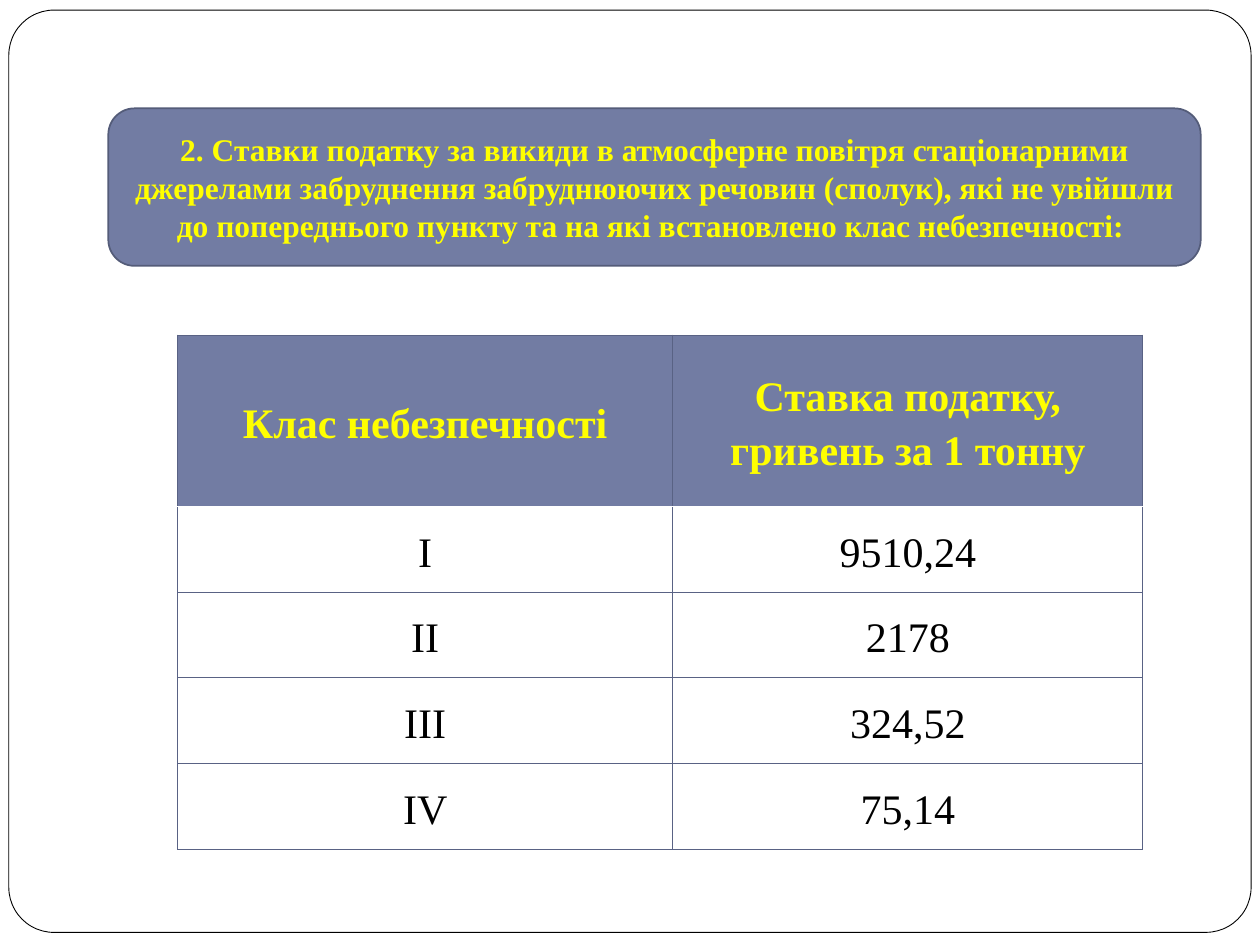
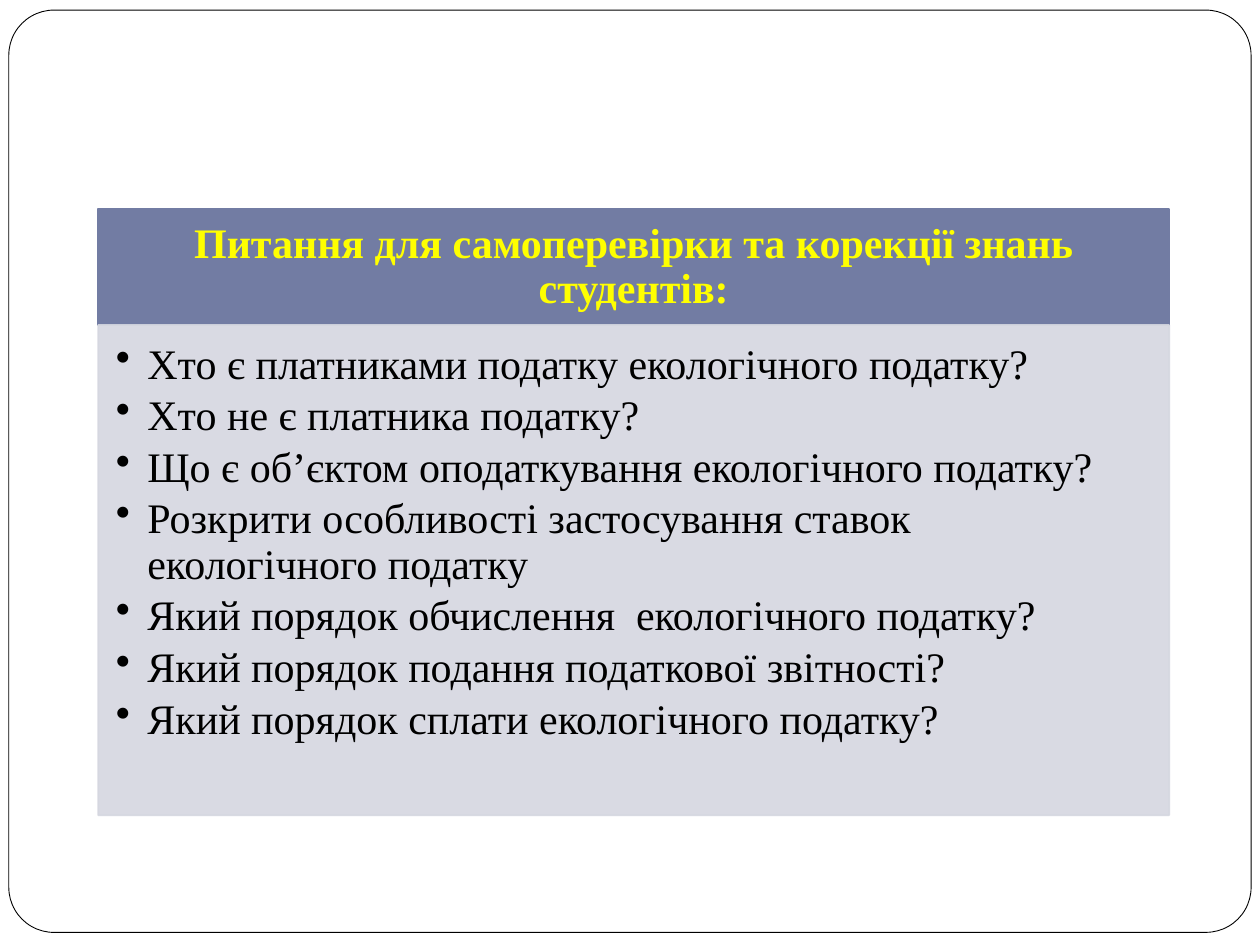
"""Two slides on ecological tax: rates by hazard class and review questions."""
from lxml.etree import SubElement
from pptx import Presentation
from pptx.dml.color import RGBColor
from pptx.enum.shapes import MSO_SHAPE as SHAPE
from pptx.enum.text import MSO_ANCHOR as ANCHOR, MSO_AUTO_SIZE as AUTO, PP_ALIGN as ALIGN
from pptx.oxml.ns import qn
from pptx.util import Inches, Pt

FONT = "Times New Roman"
HUES = dict(paper="FFFFFF", ink="000000", band="727CA3", edge="545C79",
            grid="596284", head="FFFF00", panel="D5D7E0")

RATES = {
    "title": "2. Ставки податку за викиди в атмосферне повітря стаціонарними "
             "джерелами забруднення забруднюючих речовин (сполук), які не увійшли "
             "до попереднього пункту та на які встановлено клас небезпечності: ",
    "cols": (3.93, 3.73),
    "rows": [
        ("Клас небезпечності", "Ставка податку,\nгривень за 1 тонну"),
        ("I", "9510,24"),
        ("II", "2178"),
        ("III", "324,52"),
        ("IV", "75,14"),
    ],
}
REVIEW = {
    "title": "Питання для самоперевірки та корекції знань студентів:",
    "asks": [
        "Хто є платниками податку екологічного податку?",
        "Хто не є платника податку?",
        "Що є об’єктом оподаткування екологічного податку?",
        "Розкрити особливості застосування ставок екологічного податку",
        "Який порядок обчислення  екологічного податку?",
        "Який порядок подання податкової звітності?",
        "Який порядок сплати екологічного податку?",
    ],
}


def hue(name):
    return RGBColor.from_string(HUES[name])


def add_box(slide, kind, at, fill, line, width=1):
    box = slide.shapes.add_shape(kind, *map(Inches, at))
    box.shadow.inherit = False
    box.fill.solid()
    box.fill.fore_color.rgb = hue(fill)
    box.line.color.rgb = hue(line)
    box.line.width = Pt(width)
    return box


def set_pads(frame, *pads):
    (frame.margin_left, frame.margin_top,
     frame.margin_right, frame.margin_bottom) = map(Inches, pads)


def style(frame, size, color, bold=False, align=ALIGN.CENTER, space=1.0):
    for para in frame.paragraphs:
        para.alignment = align
        para.line_spacing = space
        font = para.font
        font.name, font.size, font.bold = FONT, Pt(size), bold
        font.color.rgb = hue(color)


def add_title(slide, text, kind, at, line, size, pads, space=1.0):
    band = add_box(slide, kind, at, "band", line)
    title = slide.shapes.title
    title.left, title.top, title.width, title.height = map(Inches, at)
    title.element.addprevious(band.element)
    frame = title.text_frame
    frame.text = text
    frame.word_wrap = True
    frame.auto_size = AUTO.NONE
    frame.vertical_anchor = ANCHOR.MIDDLE
    set_pads(frame, *pads)
    style(frame, size, "head", True, space=space)


def add_edge(cell, side, color, width):
    edge = SubElement(cell._tc.get_or_add_tcPr(), qn("a:ln" + side), w=str(Pt(width)))
    SubElement(SubElement(edge, qn("a:solidFill")), qn("a:srgbClr"), val=HUES[color])


def add_rates(slide, cols, rows, left, top, step):
    tall = [2 * step] + [step] * (len(rows) - 1)
    table = slide.shapes.add_table(len(rows), len(cols), Inches(left), Inches(top),
                                   Inches(sum(cols)), Inches(sum(tall))).table
    table.first_row = table.horz_banding = False
    for col, width in zip(table.columns, cols):
        col.width = Inches(width)
    for r, row in enumerate(rows):
        table.rows[r].height = Inches(tall[r])
        for c, text in enumerate(row):
            cell = table.cell(r, c)
            for side in "LRTB":
                seam = (r, side) in ((0, "B"), (1, "T"))
                add_edge(cell, side, *(("paper", 1) if seam else ("grid", 0.75)))
            if r:
                cell.fill.background()
            else:
                cell.fill.solid()
                cell.fill.fore_color.rgb = hue("band")
            cell.text = text
            cell.vertical_anchor = ANCHOR.MIDDLE
            set_pads(cell, 0.07, 0, 0.07, 0)
            style(cell.text_frame, 24, "ink" if r else "head", not r, space=1.15)


def add_asks(slide, asks, at):
    box = add_box(slide, SHAPE.RECTANGLE, at, "panel", "panel")
    for tint in box.element.spPr.iter(qn("a:srgbClr")):
        SubElement(tint, qn("a:alpha"), val="90000")
    frame = box.text_frame
    frame.text = "\n".join(asks)
    frame.word_wrap = True
    frame.vertical_anchor = ANCHOR.TOP
    set_pads(frame, 0.14, 0.14, 0.19, 0.21)
    style(frame, 24, "ink", align=ALIGN.LEFT, space=0.9)
    for para in frame.paragraphs:
        para.space_after = Pt(3.6)
        props = para._p.get_or_add_pPr()
        props.set("marL", str(Inches(0.25)))
        props.set("indent", str(-Inches(0.25)))
        mark = props.makeelement(qn("a:buChar"), {"char": "•"})
        props.find(qn("a:defRPr")).addprevious(mark)


deck = Presentation()
deck.slide_width, deck.slide_height = Inches(10), Inches(7.5)
layout = deck.slide_layouts.get_by_name("Title Only")
first, last = (deck.slides.add_slide(layout) for _ in range(2))

border = add_box(first, SHAPE.ROUNDED_RECTANGLE, (0.07, 0.08, 9.86, 7.32), "paper", "ink", 0.5)
border.adjustments[0] = 0.049
layout.shapes.element.insert(2, border.element)

add_title(first, RATES["title"], SHAPE.ROUNDED_RECTANGLE, (0.86, 0.86, 8.67, 1.25),
          "edge", 18, (0.16, 0.11, 0.16, 0.11))
add_rates(first, RATES["cols"], RATES["rows"], 1.41, 2.66, 0.68)

add_title(last, REVIEW["title"], SHAPE.RECTANGLE, (0.78, 1.66, 8.5, 0.92),
          "band", 24, (0.19, 0.11, 0.19, 0.11), 0.9)
add_asks(last, REVIEW["asks"], (0.78, 2.58, 8.5, 3.89))

deck.save("out.pptx")
